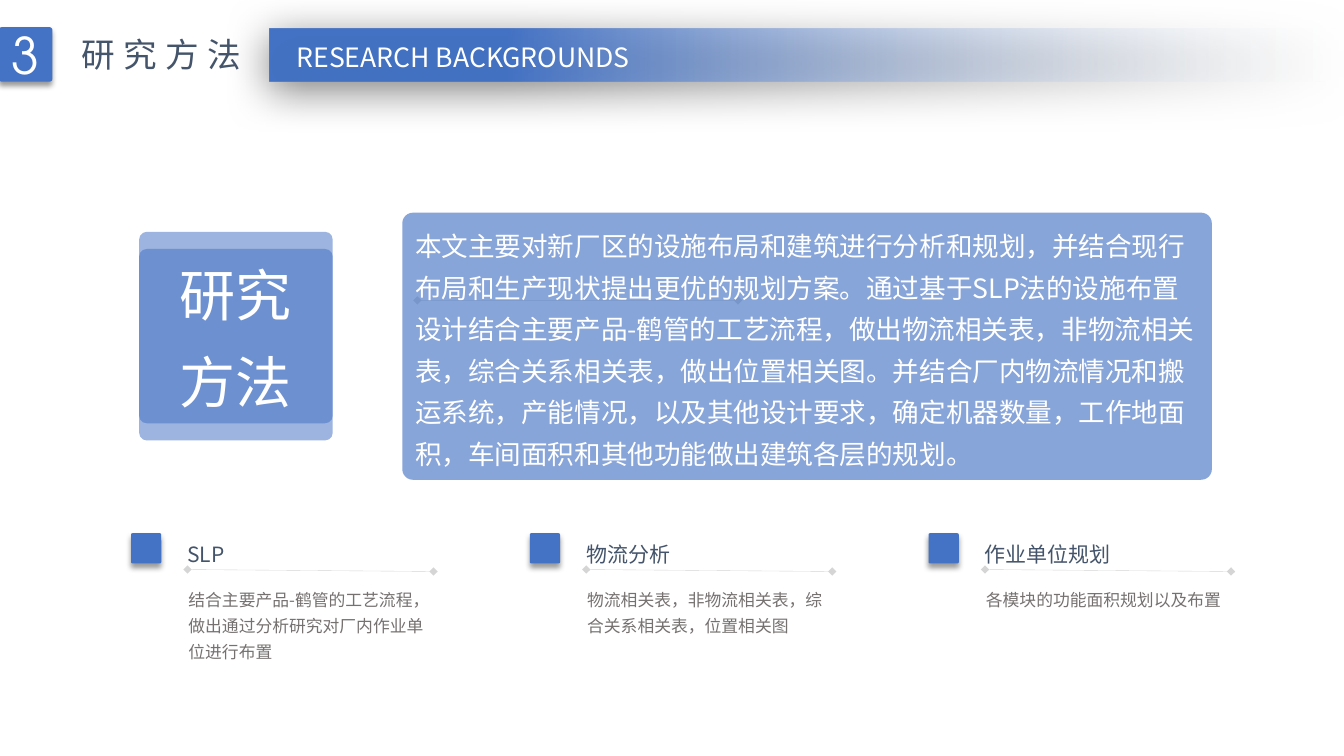
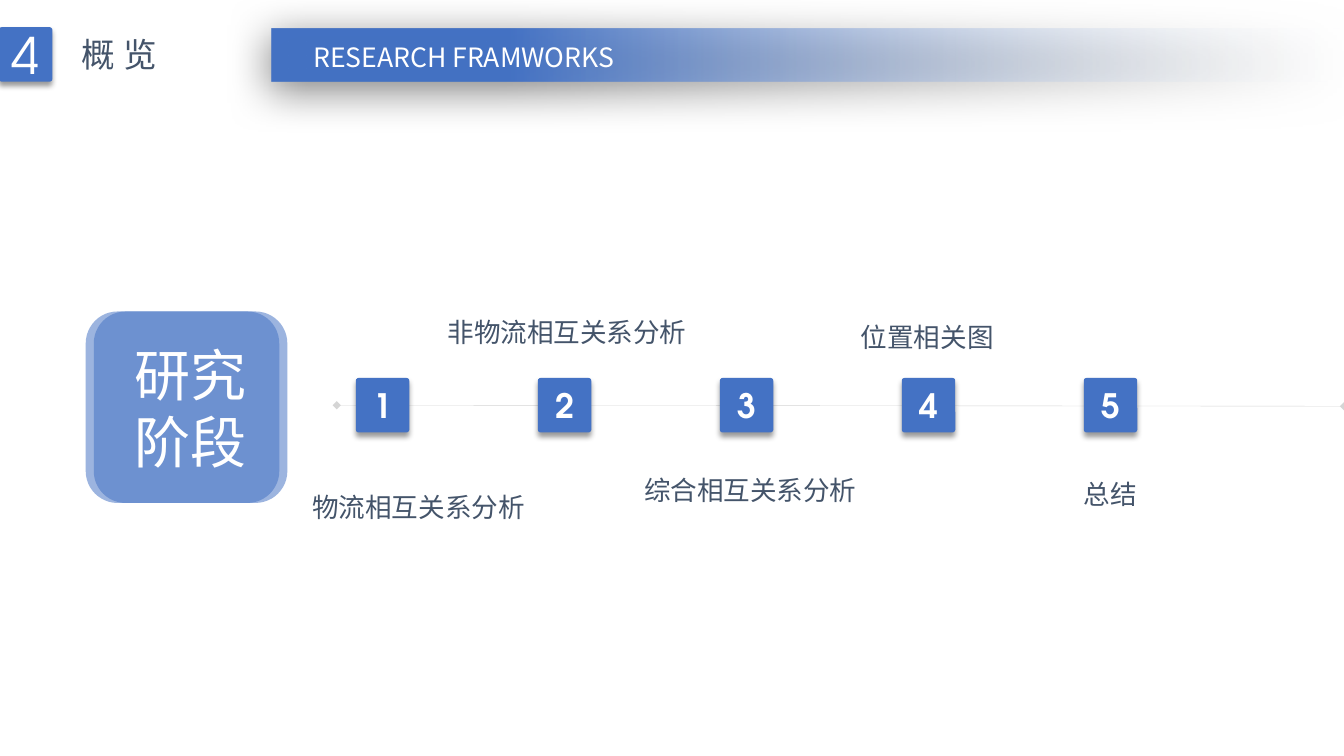
from dataclasses import dataclass

from lxml import etree
from pptx import Presentation
from pptx import util as u
from pptx.dml.color import RGBColor
from pptx.enum import shapes, text
from pptx.oxml.ns import qn

Inches = u.Inches
LEFT, CENTER = text.PP_ALIGN.LEFT, text.PP_ALIGN.CENTER
TOP, MIDDLE = text.MSO_ANCHOR.TOP, text.MSO_ANCHOR.MIDDLE
TITLE_ONLY = 5


@dataclass(frozen=True)
class Theme:
    # Colours
    blue: str = "4472C4"
    ink: str = "44546A"
    grey: str = "767171"
    rule: str = "808080"
    fade: str = "F7FAFD"
    white: str = "FFFFFF"
    # Fonts
    body_font: str = "Noto Sans CJK SC"
    number_font: str = "TeX Gyre Adventor"
    # Type sizes in points
    card: int = 40
    chapter: int = 36
    title: int = 24
    lead: int = 19
    heading: int = 15
    note: int = 12
    # Line spacing and tile size
    spacing: float = 1.3
    tile_width: float = 0.53
    tile_height: float = 0.54


THEME = Theme()


# Helpers for geometry and formatting

def box(left, top, width, height):
    return [Inches(value) for value in (left, top, width, height)]


def evenly(first, last, count):
    step = (last - first) / (count - 1)
    return [first + step * index for index in range(count)]


def add_alpha(element, percent):
    color = next(element.iter(qn("a:srgbClr")))
    etree.SubElement(color, qn("a:alpha"), val=str(percent * 1000))


def add_shadow(shape, alpha, blur, distance, angle):
    effects = shape._element.spPr.find(qn("a:effectLst"))
    shadow = etree.SubElement(
        effects, qn("a:outerShdw"), blurRad=str(u.Pt(blur)), dist=str(u.Pt(distance)),
        dir=str(angle * 60000), algn="t", rotWithShape="0")
    etree.SubElement(shadow, qn("a:srgbClr"), val="000000")
    add_alpha(shadow, alpha)


def write(shape, lines, size, color, align=LEFT, anchor=TOP, spacing=None,
          font=THEME.body_font, bold=False, tracking=0, wrap=True, grow=False):
    frame = shape.text_frame
    frame.word_wrap = wrap
    frame.vertical_anchor = anchor
    frame.auto_size = (text.MSO_AUTO_SIZE.SHAPE_TO_FIT_TEXT if grow
                       else text.MSO_AUTO_SIZE.NONE)
    for index, line in enumerate(lines):
        paragraph = frame.add_paragraph() if index else frame.paragraphs[0]
        paragraph.alignment = align
        if spacing:
            paragraph.line_spacing = spacing
        run = paragraph.add_run()
        run.text = line
        run.font.size = u.Pt(size)
        run.font.bold = bold
        run.font.color.rgb = RGBColor.from_string(color)
        run.font.name = font
        properties = run.font._element
        etree.SubElement(properties, qn("a:ea"), typeface=font)
        if tracking:
            properties.set("spc", str(tracking * 100))


# Kinds of element

def add_block(container, place, radius=None, alpha=None):
    shape = container.shapes.add_shape(
        shapes.MSO_SHAPE.ROUNDED_RECTANGLE, *box(*place))
    if radius is not None:
        shape.adjustments[0] = radius
    shape.fill.solid()
    shape.fill.fore_color.rgb = RGBColor.from_string(THEME.blue)
    if alpha is not None:
        add_alpha(shape._element.spPr, alpha)
    shape.line.fill.background()
    shape.shadow.inherit = False
    return shape


def add_tile(slide, left, top, width=THEME.tile_width, height=THEME.tile_height):
    tile = add_block(slide, (left, top, width, height), radius=0.05)
    add_shadow(tile, alpha=40, blur=4, distance=3, angle=90)
    return tile


def add_number(slide, left, top, number, size, bold):
    write(add_tile(slide, left, top), [number], size, THEME.white, CENTER, MIDDLE,
          font=THEME.number_font, bold=bold)


def add_label(slide, place, line, size, color, align=LEFT, spacing=THEME.spacing,
              wrap=False):
    label = slide.shapes.add_textbox(*box(*place))
    write(label, [line], size, color, align, spacing=spacing, wrap=wrap, grow=True)


def add_rule(slide, start, end):
    rule = slide.shapes.add_connector(
        shapes.MSO_CONNECTOR.STRAIGHT, *[Inches(value) for value in start + end])
    rule.line.color.rgb = RGBColor.from_string(THEME.rule)
    rule.line.width = u.Pt(0.25)
    properties = rule._element.spPr
    outline = properties.find(qn("a:ln"))
    add_alpha(outline, 33)
    for tip in ("a:headEnd", "a:tailEnd"):
        etree.SubElement(outline, qn(tip), type="diamond")
    etree.SubElement(properties, qn("a:effectLst"))


def add_card(slide, back, front, lines, radius=None, spacing=None):
    group = slide.shapes.add_group_shape()
    size = (1.92, 1.9)
    add_block(group, back + size, radius, alpha=53)
    write(add_block(group, front + size, radius, alpha=53), lines, THEME.card,
          THEME.white, CENTER, MIDDLE, spacing)


def add_header(slide, number, title, title_width, band_left, subtitle,
               subtitle_left, subtitle_width):
    # Fading band
    band = slide.shapes.add_shape(
        shapes.MSO_SHAPE.RECTANGLE, *box(band_left, 0.28, 10.67, 0.53))
    band.fill.gradient()
    band.fill.gradient_angle = 180
    stops = band.fill.gradient_stops
    for stop, color, position in zip(stops, (THEME.fade, THEME.blue), (0, 0.78)):
        stop.color.rgb = RGBColor.from_string(color)
        stop.position = position
    add_alpha(band._element.spPr, 0)
    band.line.fill.background()
    band.shadow.inherit = False
    add_shadow(band, alpha=50, blur=31, distance=6, angle=97)

    # Chapter number
    add_number(slide, -0.01, 0.27, number, THEME.chapter, bold=False)

    # Title, brought in front of the band's shadow
    heading = slide.shapes.title
    heading.left, heading.top, heading.width, heading.height = box(
        0.71, 0.29, title_width, 0.5)
    write(heading, [title], THEME.title, THEME.ink, tracking=6, wrap=False, grow=True)
    slide.shapes._spTree.append(heading._element)

    # Subtitle on the band
    add_label(slide, (subtitle_left, 0.36, subtitle_width, 0.42), subtitle,
              THEME.lead, THEME.white, CENTER, spacing=None)


def add_topic(slide, left, heading, heading_width, note, note_height):
    add_tile(slide, left, 5.29, 0.3, 0.3)
    add_label(slide, (left + 0.46, 5.25, heading_width, 0.43), heading,
              THEME.heading, THEME.ink)
    add_rule(slide, (left + 0.56, 5.65), (left + 3, 5.67))
    add_label(slide, (left + 0.47, 5.74, 2.62, note_height), note,
              THEME.note, THEME.grey, wrap=True)


# Slides

def build_methods(slide):
    add_card(slide, (1.38, 2.47), (1.38, 2.3), ["研究", "方法"],
             radius=0.04, spacing=THEME.spacing)
    add_rule(slide, (4.14, 2.98), (7.32, 2.98))

    # Summary panel
    panel = add_block(slide, (3.99, 2.11, 8.03, 2.65), radius=0.04, alpha=63)
    summary = (
        "本文主要对新厂区的设施布局和建筑进行分析和规划，并结合现行布局和生产现状提出更优的规划方案。"
        "通过基于SLP法的设施布置设计结合主要产品-鹤管的工艺流程，做出物流相关表，非物流相关表，"
        "综合关系相关表，做出位置相关图。并结合厂内物流情况和搬运系统，产能情况，以及其他设计要求，"
        "确定机器数量，工作地面积，车间面积和其他功能做出建筑各层的规划。")
    write(panel, [summary], THEME.lead, THEME.white, spacing=THEME.spacing, grow=True)

    # Three topics
    topics = [
        ("SLP", 0.62, "结合主要产品-鹤管的工艺流程，做出通过分析研究对厂内作业单位进行布置", 0.89),
        ("物流分析", 1.04, "物流相关表，非物流相关表，综合关系相关表，位置相关图", 0.63),
        ("作业单位规划", 1.46, "各模块的功能面积规划以及布置", 0.36),
    ]
    for left, topic in zip(evenly(1.3, 9.21, len(topics)), topics):
        add_topic(slide, left, *topic)

    add_header(slide, "3", "研究方法", 1.88, 2.67, "RESEARCH BACKGROUNDS", 2.75, 3.69)


def build_overview(slide):
    add_card(slide, (0.85, 3.09), (0.93, 3.09), ["研究", "阶段"])

    # Timeline with numbered stages
    add_rule(slide, (3.34, 4.02), (13.33, 4.03))
    stages = [
        ("物流相互关系分析", 3, 4.73, 2.33),
        ("非物流相互关系分析", 4.34, 2.99, 2.6),
        ("综合相互关系分析", 6.29, 4.56, 2.33),
        ("位置相关图", 8.44, 3.04, 1.53),
        ("总结", 10.65, 4.6, 0.73),
    ]
    tile_lefts = evenly(3.53, 10.75, len(stages))
    for number, (tile_left, stage) in enumerate(zip(tile_lefts, stages), start=1):
        name, left, top, width = stage
        add_number(slide, tile_left, 3.75, str(number), THEME.title, bold=True)
        add_label(slide, (left, top, width, 0.52), name, THEME.lead, THEME.ink)

    add_header(slide, "4", "概览", 1.04, 2.69, "RESEARCH FRAMWORKS", 2.9, 3.4)


def main():
    presentation = Presentation()
    presentation.slide_width = Inches(13.33)
    presentation.slide_height = Inches(7.5)
    layout = presentation.slide_layouts[TITLE_ONLY]
    for build in (build_methods, build_overview):
        build(presentation.slides.add_slide(layout))
    presentation.save("out.pptx")


if __name__ == "__main__":
    main()
